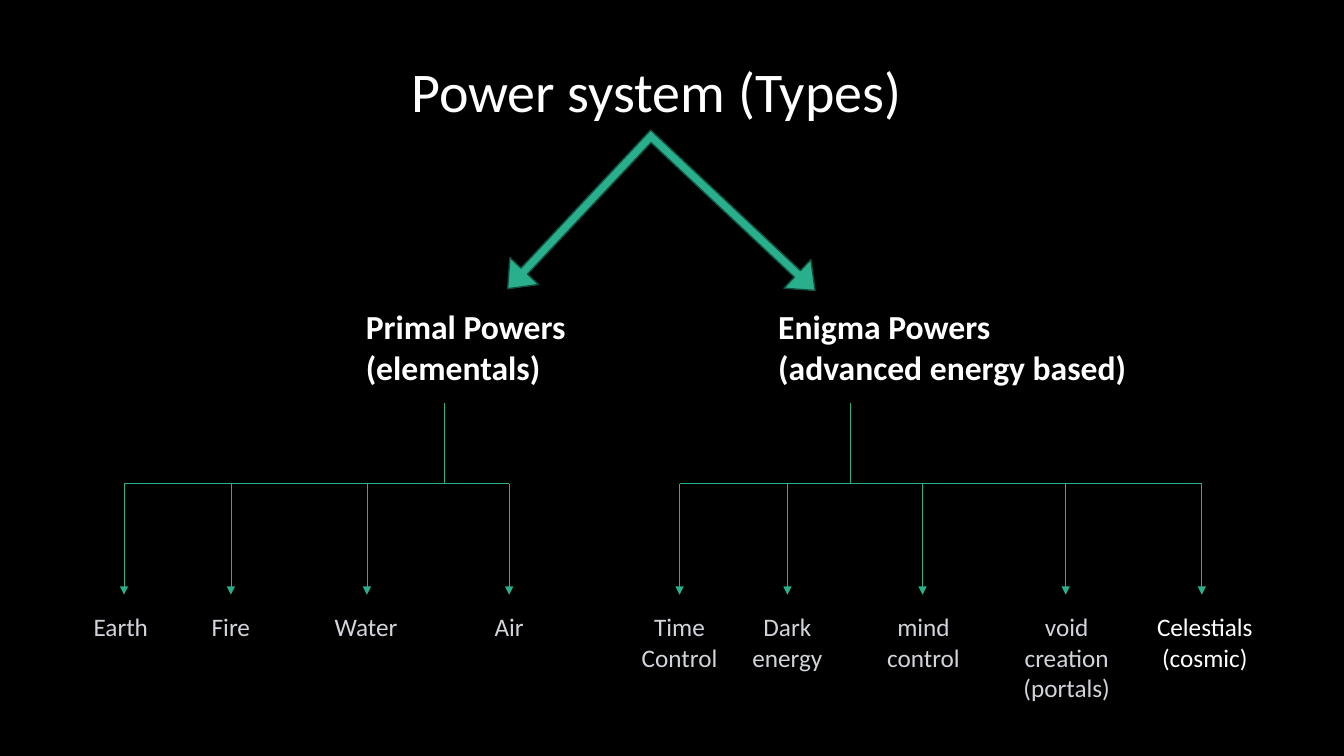
from dataclasses import dataclass

import pptx
import pptx.dml.color
import pptx.enum.shapes
import pptx.enum.text
import pptx.oxml
import pptx.oxml.ns
import pptx.util
from lxml import etree

Inches = pptx.util.Inches
Pt = pptx.util.Pt
ALIGN = pptx.enum.text.PP_ALIGN


@dataclass(frozen=True)
class Theme:
    font: str = "Calibri"
    background: str = "000000"
    white: str = "FFFFFF"
    grey: str = "D1D5DB"
    green: str = "29AF8C"
    dark_green: str = "124D3D"
    title_size: int = 40
    heading_size: int = 24
    label_size: int = 18
    thin_line: float = 0.5
    arrow_outline: float = 1


THEME = Theme()


def color(value):
    return pptx.dml.color.RGBColor.from_string(value)


def add_text(slide, box, lines, size, text_color, align=ALIGN.CENTER, bold=False):
    shape = slide.shapes.add_textbox(*map(Inches, box))
    frame = shape.text_frame
    frame.word_wrap = True
    font_format = {"name": THEME.font, "size": Pt(size), "bold": bold}
    for index, line in enumerate(lines):
        paragraph = frame.paragraphs[0] if index == 0 else frame.add_paragraph()
        paragraph.alignment = align
        run = paragraph.add_run()
        run.text = line
        for name, value in font_format.items():
            setattr(run.font, name, value)
        run.font.color.rgb = color(text_color)


def add_line(slide, start, end, arrow=False):
    connector = slide.shapes.add_connector(
        pptx.enum.shapes.MSO_CONNECTOR.STRAIGHT, *map(Inches, (*start, *end)))
    connector.line.color.rgb = color(THEME.green)
    connector.line.width = Pt(THEME.thin_line)
    if arrow:
        line_xml = connector.line._get_or_add_ln()
        etree.SubElement(line_xml, pptx.oxml.ns.qn("a:tailEnd"), type="triangle")
    properties = connector._element.spPr
    etree.SubElement(properties, pptx.oxml.ns.qn("a:effectLst"))


def add_title(slide, box):
    """Title with the two-way arrow below it."""
    left, top, _, _ = box
    add_text(slide, box, ["Power system (Types)"], THEME.title_size, THEME.white)
    arrow = slide.shapes.add_shape(
        pptx.enum.shapes.MSO_SHAPE.LEFT_UP_ARROW,
        *map(Inches, (left + 1.9, top + 1.09, 2.43, 2.27)))
    for index, value in enumerate((0.039, 0.086, 0.106)):
        arrow.adjustments[index] = value
    arrow.rotation = 223.2
    arrow.shadow.inherit = False
    arrow.fill.solid()
    arrow.fill.fore_color.rgb = color(THEME.green)
    arrow.line.color.rgb = color(THEME.dark_green)
    arrow.line.width = Pt(THEME.arrow_outline)


def add_power_tree(slide, box, heading, heading_left, heading_width, stem, branches):
    """Heading, stem, crossbar and labelled arrows; x values count from the box."""
    left, top, width, height = box
    bar_y, arrow_y, label_y = top + 1.81, top + 2.91, top + 3.03

    # Heading
    add_text(slide, (left + heading_left, top, heading_width, 0.91), heading,
             THEME.heading_size, THEME.white, ALIGN.LEFT, bold=True)

    # Stem and crossbar
    add_line(slide, (left + stem, top + 1.01), (left + stem, bar_y))
    add_line(slide, (left + width, bar_y), (left, bar_y))

    # Branches
    for offset, lines, label_width, shift, align, text_color in branches:
        x = left + offset
        add_line(slide, (x, bar_y), (x, arrow_y), arrow=True)
        label_box = (x + shift - label_width / 2, label_y,
                     label_width, top + height - label_y)
        add_text(slide, label_box, lines, THEME.label_size, text_color, align)


def main():
    presentation = pptx.Presentation()
    presentation.slide_width = Inches(13.33)
    presentation.slide_height = Inches(7.5)
    slide = presentation.slides.add_slide(presentation.slide_layouts[6])
    slide.background.fill.solid()
    slide.background.fill.fore_color.rgb = color(THEME.background)

    add_title(slide, (3.44, 0.51, 6.14, 0.77))

    # Branch: offset, lines, label width, label shift, alignment, colour
    primal = [
        (0, ["Earth"], 0.84, 0.02, ALIGN.LEFT, THEME.grey),
        (1.06, ["Fire"], 0.84, 0, ALIGN.CENTER, THEME.grey),
        (2.41, ["Water"], 0.84, 0, ALIGN.LEFT, THEME.grey),
        (3.82, ["Air"], 0.84, 0, ALIGN.CENTER, THEME.grey),
    ]
    enigma = [
        (0, ["Time Control"], 1.3, 0, ALIGN.CENTER, THEME.grey),
        (1.07, ["Dark energy"], 1.3, 0, ALIGN.CENTER, THEME.grey),
        (2.41, ["mind control"], 1.3, 0.01, ALIGN.CENTER, THEME.grey),
        (3.83, ["void creation", "(portals)"], 1.36, 0.01, ALIGN.CENTER, THEME.grey),
        (5.18, ["Celestials", "(cosmic)"], 1.36, 0.03, ALIGN.CENTER, THEME.white),
    ]
    add_power_tree(slide, (1.23, 2.99, 3.82, 3.43),
                   ["Primal Powers", "(elementals)"], 2.3, 3.6, 3.18, primal)
    add_power_tree(slide, (6.74, 2.99, 5.18, 4.04),
                   ["Enigma Powers", "(advanced energy based)"], 0.88, 4.12, 1.69, enigma)

    presentation.save("out.pptx")


if __name__ == "__main__":
    main()
